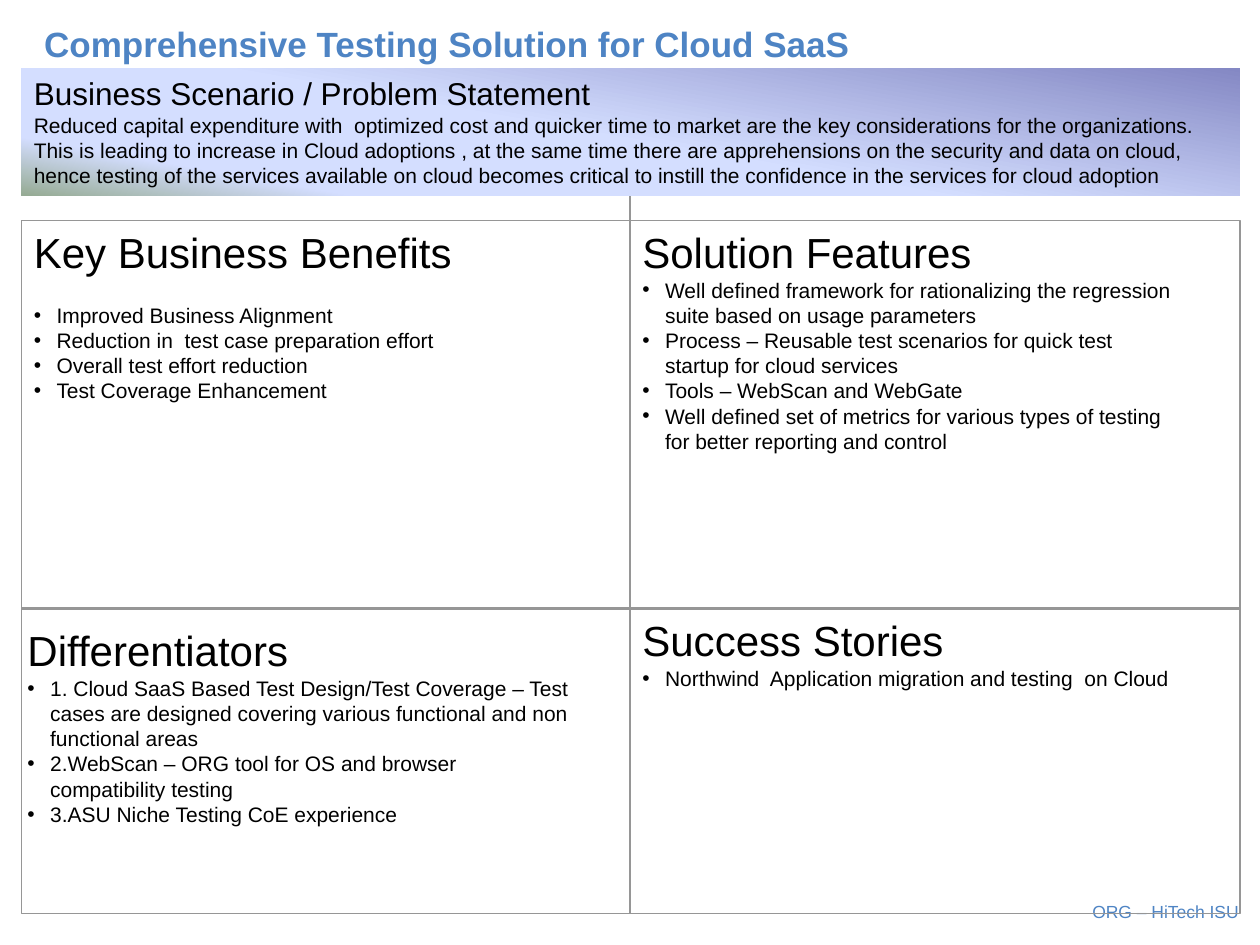
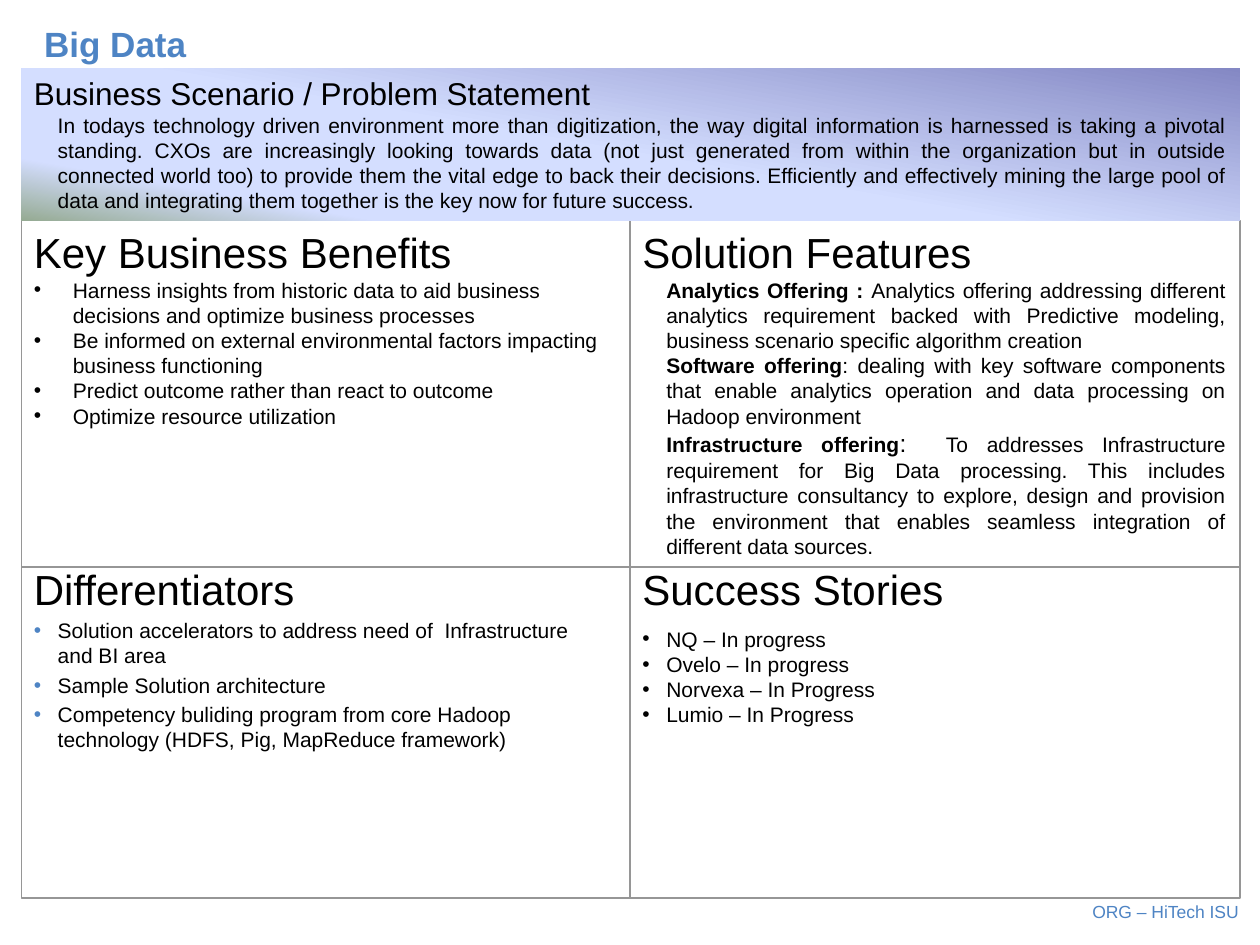
from dataclasses import dataclass
from functools import partial

from lxml import etree
from pptx import Presentation
from pptx.dml.color import RGBColor
from pptx.enum.shapes import MSO_CONNECTOR, MSO_SHAPE
from pptx.enum.text import MSO_ANCHOR, PP_ALIGN
from pptx.oxml.ns import qn
from pptx.util import Inches, Pt

LINE, RECT = MSO_CONNECTOR.STRAIGHT, MSO_SHAPE.RECTANGLE
LEFT, RIGHT, JUST = PP_ALIGN.LEFT, PP_ALIGN.RIGHT, PP_ALIGN.JUSTIFY
TOP = MSO_ANCHOR.TOP

FONT = "Arial"
HEX = {"blue": "4E84C4", "black": "000000", "grey": "969696", "silver": "C0C0C0",
       "dusk": "8488C4", "sky": "D4DEFF", "moss": "96AB94"}
FADE = ((0, "dusk"), (53, "sky"), (83, "sky"), (100, "moss"))
X0, XMID, X1 = 0.17, 5, 9.83
BAND_TOP, GRID_TOP = 0.54, 1.75


@dataclass(frozen=True)
class Run:
    text: str
    size: float = 12
    bold: bool = False
    color: str = "black"


@dataclass(frozen=True)
class Para:
    runs: tuple[Run, ...]
    indent: float = 0
    bullet: str = ""  # colour of the bullet
    before: float = 0
    align: PP_ALIGN = LEFT


@dataclass(frozen=True)
class Box:
    left: float
    top: float
    width: float
    height: float
    paras: list[Para]


@dataclass(frozen=True)
class Page:
    title: str
    band_end: float
    cross: float
    cut_top: float
    end: float
    issue: Para
    boxes: list[Box]


def rgb(name: str) -> RGBColor:
    return RGBColor.from_string(HEX[name])


def head(text: str, size: float = 24) -> Para:
    return Para((Run(text, size),))


def items(*texts: str, indent: float = 0.18, color: str = "black",
          first: float = 0, before: float = 0) -> list[Para]:
    """Bulleted paragraphs; first is the gap above the top one."""
    return [Para((Run(text),), indent, color, before if i else first or before)
            for i, text in enumerate(texts)]


def offer(name: str, *rest: Run) -> Para:
    return Para((Run(name, bold=True), *rest), 0.19, align=JUST)


def add_dot(para, indent: float, color: str) -> None:
    """Set the left indent, with a hanging bullet if a colour is given."""
    props = para._p.get_or_add_pPr()
    props.set("marL", str(Inches(indent)))
    props.set("indent", str(-Inches(indent) if color else 0))
    if color:
        tint = etree.SubElement(props, qn("a:buClr"))
        etree.SubElement(tint, qn("a:srgbClr"), val=HEX[color])
        etree.SubElement(props, qn("a:buFont"), typeface=FONT)
        etree.SubElement(props, qn("a:buChar"), char="•")
    else:
        etree.SubElement(props, qn("a:buNone"))


def write(frame, paras: list[Para]) -> None:
    frame.word_wrap = True
    frame.vertical_anchor = TOP
    for i, item in enumerate(paras):
        para = frame.paragraphs[0] if i == 0 else frame.add_paragraph()
        add_dot(para, item.indent, item.bullet)
        para.alignment = item.align
        para.space_before = Pt(item.before)
        for part in item.runs:
            run = para.add_run()
            run.text = part.text
            font = run.font
            font.name, font.size, font.bold = FONT, Pt(part.size), part.bold
            font.color.rgb = rgb(part.color)


def add_text(slide, box: Box):
    area = map(Inches, (box.left, box.top, box.width, box.height))
    frame = slide.shapes.add_textbox(*area).text_frame
    write(frame, box.paras)
    return frame


def add_rule(slide, x0: float, y0: float, x1: float, y1: float,
             color: str = "grey", width: float = 1.5) -> None:
    rule = slide.shapes.add_connector(LINE, *map(Inches, (x0, y0, x1, y1)))
    rule.line.color.rgb = rgb(color)
    rule.line.width = Pt(width)
    etree.SubElement(rule._element.spPr, qn("a:effectLst"))


def add_rect(slide, top: float, end: float):
    rect = slide.shapes.add_shape(
        RECT, *map(Inches, (X0, top, X1 - X0 + 0.01, end - top)))
    rect.shadow.inherit = False
    return rect


def add_frame(slide, end: float) -> None:
    rect = add_rect(slide, GRID_TOP, end)
    rect.fill.background()
    rect.line.color.rgb = rgb("grey")
    rect.line.width = Pt(1)


def add_band(slide, end: float, issue: Para) -> None:
    band = add_rect(slide, BAND_TOP, end)
    band.line.fill.background()
    band.fill.gradient()
    band.fill.gradient_angle = 260
    stops = band._element.spPr.find(".//" + qn("a:gsLst"))
    stops.clear()
    for pos, color in FADE:
        stop = etree.SubElement(stops, qn("a:gs"), pos=str(pos * 1000))
        etree.SubElement(stop, qn("a:srgbClr"), val=HEX[color])
    write(band.text_frame, [head("Business Scenario / Problem Statement", 18), issue])


def add_title(slide, text: str) -> None:
    title = slide.shapes.title
    title.left, title.top, title.width, title.height = map(
        Inches, (0.25, 0.08, 9, 0.46))
    write(title.text_frame, [Para((Run(text, 20, True, "blue"),))])
    title.text_frame.paragraphs[0].line_spacing = 1.15


def add_foot(slide) -> None:
    label = Para((Run("ORG – HiTech ISU", 10, color="blue"),), align=RIGHT)
    frame = add_text(slide, Box(5.57, 7.15, 4.26, 0.17, [label]))
    frame.margin_left = frame.margin_right = 0
    frame.margin_top = frame.margin_bottom = 0


def add_page(deck, page: Page) -> None:
    slide = deck.slides.add_slide(deck.slide_layouts[5])
    add_rule(slide, 0.26, 0.57, 9.7, 0.57, "silver", 0.75)
    add_foot(slide)
    add_frame(slide, page.end)
    add_title(slide, page.title)
    for box in page.boxes:
        add_text(slide, box)
    add_rule(slide, XMID, page.cut_top, XMID, page.end)
    add_rule(slide, X0, page.cross, X1, page.cross)
    add_band(slide, page.band_end, page.issue)


blue_items = partial(items, indent=0.19, color="blue", before=2.4)

CLOUD = Page(
    "Comprehensive Testing Solution for Cloud SaaS",
    band_end=1.55, cross=4.83, cut_top=1.55, end=7.25,
    issue=Para((Run(
        "Reduced capital expenditure with  optimized cost and quicker time to market "
        "are the key considerations for the organizations. This is leading to increase "
        "in Cloud adoptions , at the same time there are apprehensions on the security "
        "and data on cloud, hence testing of the services available on cloud becomes "
        "critical to instill the confidence in the services for cloud adoption"),)),
    boxes=[
        Box(0.12, 4.91, 4.5, 1.72, [head("Differentiators"), *items(
            "1. Cloud SaaS Based Test Design/Test Coverage – Test cases are designed "
            "covering various functional and non functional areas",
            "2.WebScan – ORG tool for OS and browser compatibility testing",
            "3.ASU Niche Testing CoE experience")]),
        Box(X0, GRID_TOP, 4.42, 1.67, [head("Key Business Benefits"), *items(
            "Improved Business Alignment",
            "Reduction in  test case preparation effort",
            "Overall test effort reduction",
            "Test Coverage Enhancement", first=14.4)]),
        Box(XMID, 4.83, 4.42, 0.71, [head("Success Stories"), *items(
            "Northwind  Application migration and testing  on Cloud")]),
        Box(XMID, GRID_TOP, 4.42, 1.92, [head("Solution Features"), *items(
            "Well defined framework for rationalizing the regression suite based on "
            "usage parameters",
            "Process – Reusable test scenarios for quick test startup for cloud services",
            "Tools – WebScan and WebGate",
            "Well defined set of metrics for various types of testing for better "
            "reporting and control")]),
    ])

DATA = Page(
    "Big Data",
    band_end=1.75, cross=4.5, cut_top=1.75, end=7.13,
    issue=Para((Run(
        "In todays technology driven environment more than digitization, the way "
        "digital information is harnessed is taking a pivotal standing. CXOs are "
        "increasingly looking towards data (not just generated from within the "
        "organization but in outside connected world too) to provide them the vital "
        "edge to back their decisions. Efficiently and effectively mining the large "
        "pool of data and integrating them together is the key now for future "
        "success."),), 0.19, align=JUST),
    boxes=[
        Box(X0, 4.42, 4.5, 1.64, [head("Differentiators"), *blue_items(
            "Solution accelerators to address need of  Infrastructure and BI area",
            "Sample Solution architecture",
            "Competency buliding program from core Hadoop technology (HDFS, Pig, "
            "MapReduce framework)")]),
        Box(X0, GRID_TOP, 4.83, 1.87, [head("Key Business Benefits"), *items(
            "Harness insights from historic data to aid business decisions and "
            "optimize business processes",
            "Be informed on external environmental factors impacting business functioning",
            "Predict outcome rather than react to outcome",
            "Optimize resource utilization", indent=0.31)]),
        Box(XMID, 4.42, 4.42, 0.5, [head("Success Stories")]),
        Box(XMID, GRID_TOP, 4.83, 2.76, [
            head("Solution Features"),
            offer("Analytics Offering : ", Run(
                "Analytics offering addressing different analytics requirement backed "
                "with Predictive modeling, business scenario specific algorithm creation")),
            offer("Software offering", Run(
                ": dealing with key software components that enable analytics operation "
                "and data processing on Hadoop environment")),
            offer("Infrastructure offering", Run(":  ", 14), Run(
                "To addresses Infrastructure requirement for Big Data processing. This "
                "includes infrastructure consultancy to explore, design and provision "
                "the environment that enables seamless integration of different data "
                "sources."))]),
        Box(XMID, 4.92, 2.67, 0.91, items(
            "NQ – In progress", "Ovelo – In progress",
            "Norvexa – In Progress", "Lumio – In Progress", indent=0.19)),
    ])


def main() -> None:
    deck = Presentation()
    deck.slide_width, deck.slide_height = Inches(10), Inches(7.5)
    for page in (CLOUD, DATA):
        add_page(deck, page)
    deck.save("out.pptx")


if __name__ == "__main__":
    main()
